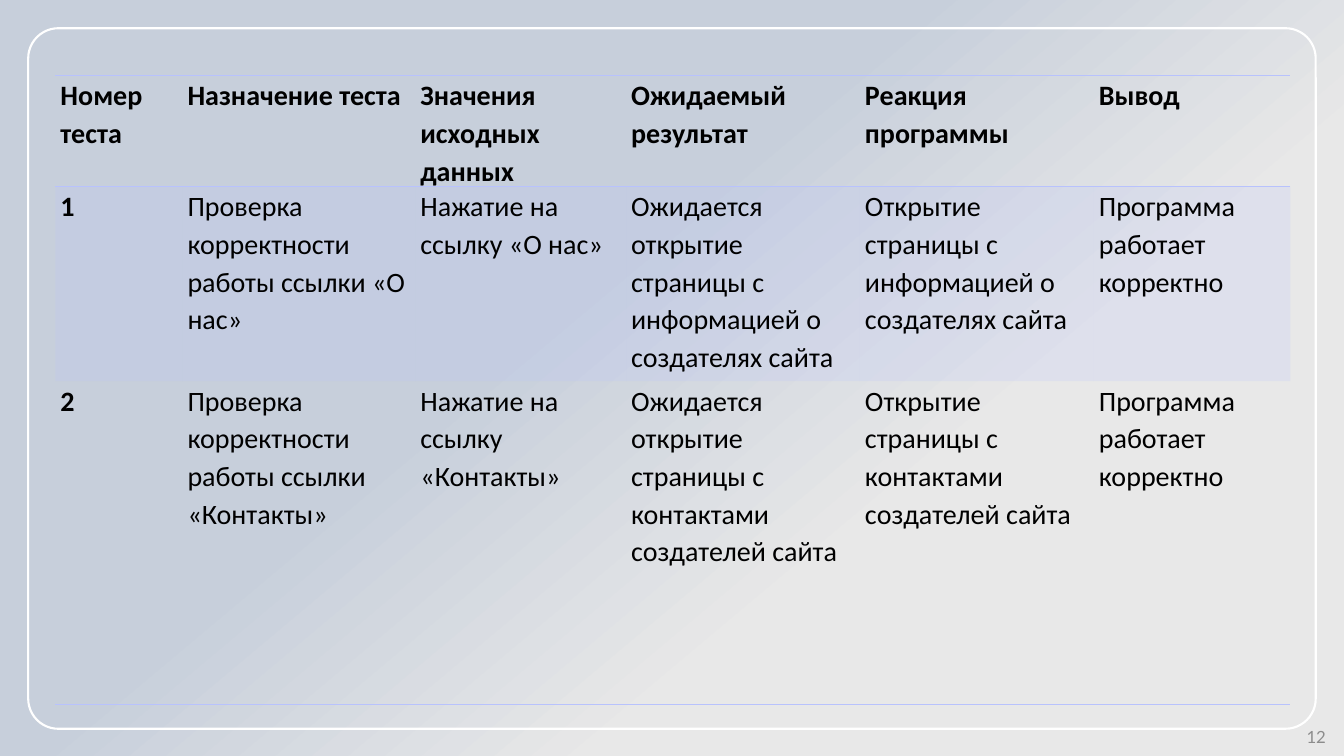
from lxml import etree
from pptx import Presentation
from pptx.dml.color import RGBColor
from pptx.enum.shapes import MSO_SHAPE
from pptx.enum.text import MSO_ANCHOR, PP_ALIGN
from pptx.oxml.ns import qn
from pptx.util import Inches, Pt

ROUND = MSO_SHAPE.ROUNDED_RECTANGLE
MIDDLE = MSO_ANCHOR.MIDDLE
RIGHT = PP_ALIGN.RIGHT
BLANK = 6
NO_STYLE = "{2D5ABB26-0587-4C30-8999-92F81FD0307C}"
LILAC = "B8C2FD"

COLS = [1.26, 2.31, 2.09, 2.32, 2.32, 1.95]
ROWS = [0.84, 1.93, 3.21]
EDGES = [("lnT", "lnB"), (), ("lnB",)]
TESTS = [
    ["Номер теста", "Назначение теста", "Значения исходных данных",
     "Ожидаемый результат", "Реакция программы", "Вывод"],
    ["1", "Проверка корректности работы ссылки «О нас»",
     "Нажатие на ссылку «О нас»",
     "Ожидается открытие страницы с информацией о создателях сайта",
     "Открытие страницы с информацией о создателях сайта",
     "Программа работает корректно"],
    ["2", "Проверка корректности работы ссылки «Контакты»",
     "Нажатие на ссылку «Контакты»",
     "Ожидается открытие страницы с контактами создателей сайта",
     "Открытие страницы с контактами создателей сайта",
     "Программа работает корректно"],
]
INSETS = {"margin_left": Inches(0.05), "margin_right": Inches(0.05),
          "margin_top": 0, "margin_bottom": 0}
BODY = {"name": "Calibri", "size": Pt(20)}
NUMBER = {"name": "Lato", "size": Pt(12)}


def rgb(code):
    return RGBColor.from_string(code)


def apply(item, values):
    for name, value in values.items():
        setattr(item, name, value)


def place(box):
    return [Inches(n) for n in box]


def paint_back(slide):
    fill = slide.background.fill
    fill.gradient()
    fill.gradient_angle = 130
    stops = [(0.33, "E8E8E8"), (0.59, "C7CFDB")]
    for stop, (spot, code) in zip(fill.gradient_stops, stops):
        stop.position = spot
        stop.color.rgb = rgb(code)


def add_frame(slide, box):
    frame = slide.shapes.add_shape(ROUND, *place(box))
    frame.adjustments[0] = 0.043
    frame.shadow.inherit = False
    frame.fill.background()
    frame.line.color.rgb = rgb("FFFFFF")
    frame.line.width = Pt(1.5)


def add_number(slide, box, text):
    frame = slide.shapes.add_textbox(*place(box)).text_frame
    apply(frame, {"word_wrap": True, "vertical_anchor": MIDDLE})
    para = frame.paragraphs[0]
    para.text = text
    para.alignment = RIGHT
    apply(para.font, NUMBER)
    para.font.color.rgb = rgb("8C8C8C")


def add_edge(cell, side):
    props = cell._tc.get_or_add_tcPr()
    line = etree.SubElement(props, qn("a:" + side), w=str(Pt(1)))
    solid = etree.SubElement(line, qn("a:solidFill"))
    etree.SubElement(solid, qn("a:srgbClr"), val=LILAC)


def tint(cell, code, alpha):
    cell.fill.solid()
    cell.fill.fore_color.rgb = rgb(code)
    color = cell._tc.tcPr.find(".//" + qn("a:srgbClr"))
    etree.SubElement(color, qn("a:alpha"), val=str(alpha * 1000))


def fill_cell(cell, text, bold):
    apply(cell, INSETS)
    para = cell.text_frame.paragraphs[0]
    para.text = text
    para.line_spacing = 1.1
    apply(para.font, {**BODY, "bold": bold})
    para.font.color.rgb = rgb("000000")


def add_tests(slide, box):
    grid = slide.shapes.add_table(len(ROWS), len(COLS), *place(box)).table
    apply(grid, {"first_row": False, "horz_banding": False})
    grid._tbl.tblPr.find(qn("a:tableStyleId")).text = NO_STYLE
    for col, width in zip(grid.columns, COLS):
        col.width = Inches(width)
    for r, texts in enumerate(TESTS):
        grid.rows[r].height = Inches(ROWS[r])
        for c, text in enumerate(texts):
            cell = grid.cell(r, c)
            fill_cell(cell, text, r == 0 or c == 0)
            for side in EDGES[r]:
                add_edge(cell, side)
            # Only the first test row is shaded
            if r == 1:
                tint(cell, LILAC, 20)
            else:
                cell.fill.background()


def main():
    deck = Presentation()
    apply(deck, {"slide_width": Inches(13.33), "slide_height": Inches(7.5)})
    slide = deck.slides.add_slide(deck.slide_layouts[BLANK])
    # Backdrop
    paint_back(slide)
    add_frame(slide, (0.28, 0.28, 12.77, 6.95))
    # Page number and test table
    add_number(slide, (10.25, 7.18, 3, 0.25), "12")
    add_tests(slide, (0.55, 0.75, sum(COLS), sum(ROWS)))
    deck.save("out.pptx")


if __name__ == "__main__":
    main()
